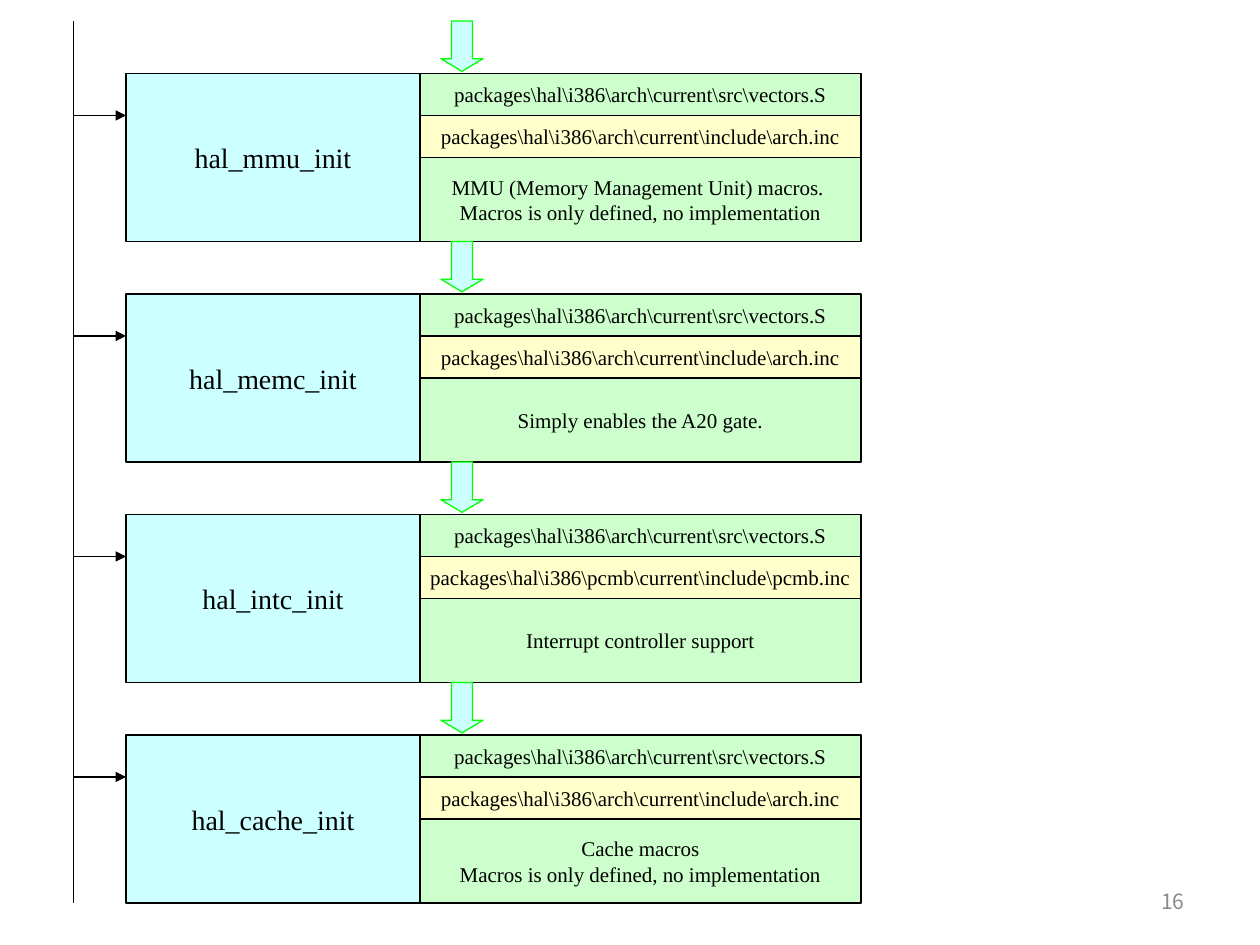
from pptx import Presentation
from pptx.util import Cm, Pt
from pptx.dml.color import RGBColor
from pptx.enum.shapes import MSO_SHAPE as Shape, MSO_CONNECTOR as Link
from pptx.enum.text import PP_ALIGN as Align, MSO_ANCHOR as Anchor
from lxml.etree import SubElement
from pptx.oxml.ns import qn

SERIF = "Times New Roman"
BLUE, GREEN, CREAM = "CCFFFF", "CCFFCC", "FFFFCC"
HAL = "packages\\hal\\i386\\"
VECTORS = HAL + "arch\\current\\src\\vectors.S"
ARCH = HAL + "arch\\current\\include\\arch.inc"
PCMB = HAL + "pcmb\\current\\include\\pcmb.inc"
UNUSED = "Macros is only defined, no implementation"
STEPS = [
    ("hal_mmu_init", ARCH, "MMU (Memory Management Unit) macros. \n" + UNUSED),
    ("hal_memc_init", ARCH, "Simply enables the A20 gate."),
    ("hal_intc_init", PCMB, "Interrupt controller support"),
    ("hal_cache_init", ARCH, "Cache macros\n" + UNUSED),
]
TRUNK, LEFT, MID, TOP, PITCH = 7, 12, 40, 7, 21


def grid(n):
    """Turn a count of grid steps, twelve to 2.54 cm, into a length."""
    return Cm(2.54 * n / 12)


def color(code):
    """Turn a hex string into a colour."""
    return RGBColor.from_string(code)


def write(frame, text, size, font, code, align):
    """Fill a text frame and format all its runs."""
    frame.text = text
    frame.vertical_anchor = Anchor.MIDDLE
    for para in frame.paragraphs:
        para.alignment = align
        for run in para.runs:
            run.font.size = Pt(size)
            run.font.name = font
            run.font.color.rgb = color(code)


def add_block(shapes, kind, area, fill, line):
    """Add a filled and outlined preset shape on the grid."""
    block = shapes.add_shape(kind, *map(grid, area))
    block.shadow.inherit = False
    block.fill.solid()
    block.fill.fore_color.rgb = color(fill)
    block.line.color.rgb = color(line)
    block.line.width = Pt(0.75)
    return block


def add_box(shapes, area, fill, text, size=12):
    """Add a box with centred text."""
    box = add_block(shapes, Shape.RECTANGLE, area, fill, "000000")
    box.text_frame.word_wrap = False
    write(box.text_frame, text, size, SERIF, "000000", Align.CENTER)


def add_flow(shapes, top):
    """Add the block arrow that leads down into a step."""
    arrow = add_block(shapes, Shape.DOWN_ARROW, (42, top, 4, 4.8), BLUE, "00FF00")
    arrow.adjustments[0] = 0.5
    arrow.adjustments[1] = 0.3


def add_line(shapes, ends, head=False):
    """Add a thin black line, with an arrowhead if asked."""
    line = shapes.add_connector(Link.STRAIGHT, *map(grid, ends))
    line.line.color.rgb = color("000000")
    line.line.width = Pt(0.75)
    if head:
        SubElement(line.line._get_or_add_ln(), qn("a:tailEnd"), type="triangle")
    SubElement(line._element.spPr, qn("a:effectLst"))


def add_step(shapes, top, name, file, note):
    """Add one init step: its name, two files, a note and the arrow above."""
    group = shapes.add_group_shape().shapes
    add_box(group, (LEFT, top, 28, 16), BLUE, name, 16)
    add_box(group, (MID, top + 8, 42, 8), GREEN, note)
    add_box(group, (MID, top, 42, 4), GREEN, VECTORS)
    add_box(group, (MID, top + 4, 42, 4), CREAM, file)
    add_flow(group, top - 5)


def add_number(shapes, text):
    """Add the page number at the lower right."""
    box = shapes.add_textbox(grid(86), Cm(17.65), grid(28), Cm(1.02))
    box.text_frame.word_wrap = True
    write(box.text_frame, text, 12, "Noto Sans CJK KR", "898989", Align.RIGHT)


def main():
    """Build the slide and save it."""
    deck = Presentation()
    deck.slide_width, deck.slide_height = Cm(25.4), Cm(19.05)
    shapes = deck.slides.add_slide(deck.slide_layouts[6]).shapes
    add_number(shapes, "16")
    tops = [TOP + PITCH * i for i in range(len(STEPS))]
    for top, step in zip(tops, STEPS):
        add_step(shapes, top, *step)
    add_line(shapes, (TRUNK, 2, TRUNK, 86))
    for top in tops:
        add_line(shapes, (TRUNK, top + 4, LEFT, top + 4), head=True)
    deck.save("out.pptx")


if __name__ == "__main__":
    main()
